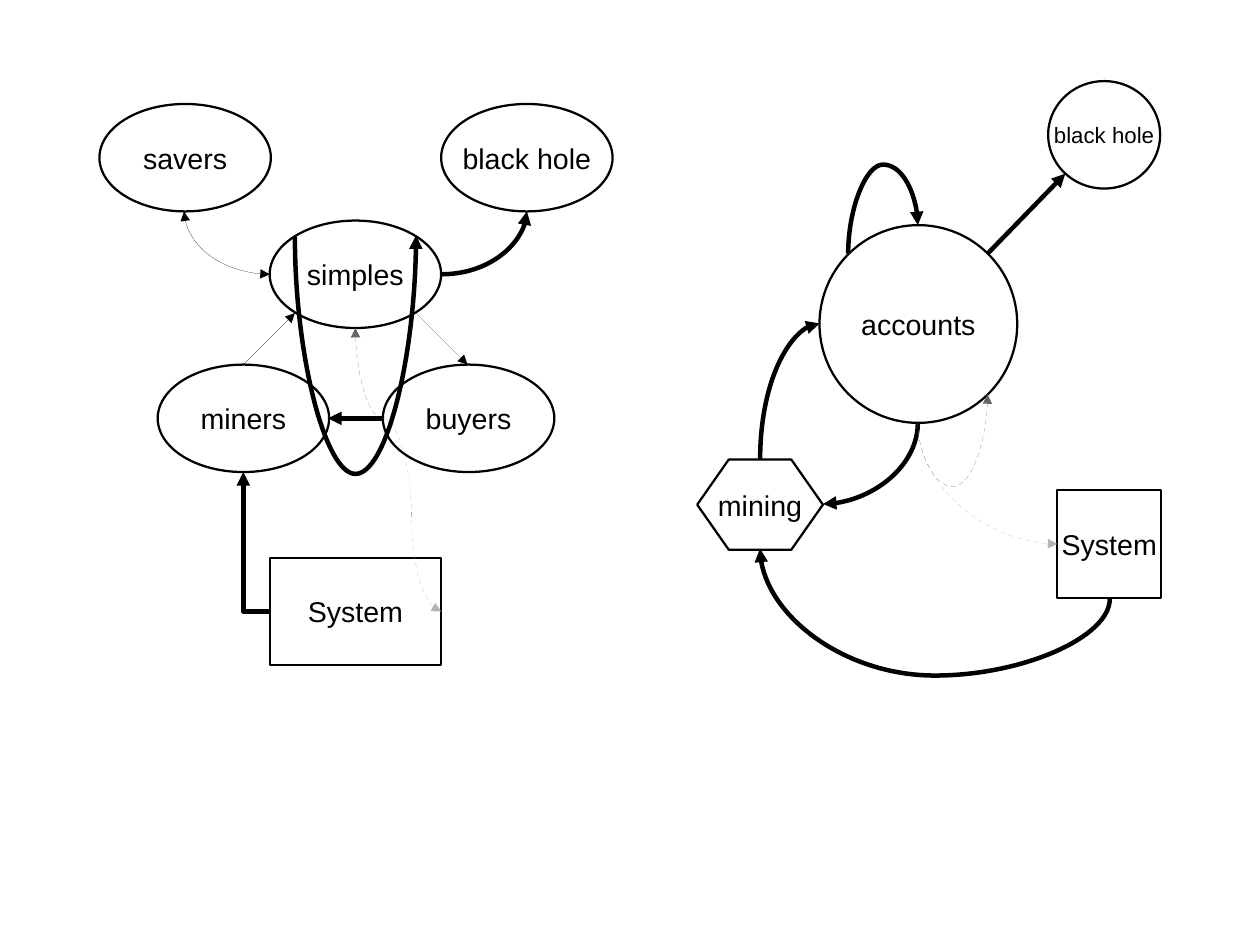
from lxml.etree import SubElement
from pptx import Presentation
from pptx.dml.color import RGBColor
from pptx.enum.dml import MSO_LINE
from pptx.enum.shapes import MSO_CONNECTOR as LINK, MSO_SHAPE as SHAPE
from pptx.enum.text import MSO_ANCHOR, PP_ALIGN
from pptx.oxml.ns import qn
from pptx.util import Inches, Pt

BLACK, DARK_GREY, LIGHT_GREY, WHITE = "000000", "666666", "B3B3B3", "FFFFFF"
THICK, HAIRLINE = 2.83, 0.01
ROLE_SIZE = (1.5, 0.94)


def color(hex_code):
    return RGBColor.from_string(hex_code)


def add_node(slide, label, position, size, kind=SHAPE.OVAL, font_size=18):
    node = slide.shapes.add_shape(kind, *map(Inches, position + size))
    node.shadow.inherit = False
    node.fill.solid()
    node.fill.fore_color.rgb = color(WHITE)
    node.line.color.rgb = color(BLACK)
    node.line.width = Pt(1.42)
    frame = node.text_frame
    frame.word_wrap = False
    frame.vertical_anchor = MSO_ANCHOR.MIDDLE
    frame.margin_left = frame.margin_right = Inches(0.11)
    frame.margin_top = frame.margin_bottom = Inches(0.06)
    frame.text = label
    paragraph = frame.paragraphs[0]
    paragraph.alignment = PP_ALIGN.CENTER
    font = paragraph.runs[0].font
    font.name = "Arial"
    font.size = Pt(font_size)
    font.color.rgb = color(BLACK)
    return node


def style_arrow(arrow, width, hex_code, both_ends):
    arrow.line.color.rgb = color(hex_code)
    arrow.line.width = Pt(width)
    if hex_code != BLACK:
        arrow.line.dash_style = MSO_LINE.DASH
    outline = arrow.line._get_or_add_ln()
    for end in ("a:headEnd", "a:tailEnd") if both_ends else ("a:tailEnd",):
        SubElement(outline, qn(end), type="triangle")
    SubElement(arrow._element.spPr, qn("a:effectLst"))


def add_arrow(slide, start, end, width=THICK, hex_code=BLACK):
    arrow = slide.shapes.add_connector(LINK.STRAIGHT, *map(Inches, start + end))
    style_arrow(arrow, width, hex_code, False)


def add_turning_arrow(slide, start, end, width=THICK, hex_code=BLACK, preset="curvedConnector2",
                      vertical=False, bend=None, both_ends=False):
    (x1, y1), (x2, y2) = start, end
    points = start + end
    if vertical:
        mid_x, mid_y = (x1 + x2) / 2, (y1 + y2) / 2
        half_w, half_h = (x2 - x1) / 2, (y2 - y1) / 2
        points = (mid_x - half_h, mid_y + half_w, mid_x + half_h, mid_y - half_w)
    arrow = slide.shapes.add_connector(LINK.CURVE, *map(Inches, points))
    properties = arrow._element.spPr
    if vertical:
        properties.find(qn("a:xfrm")).set("rot", "5400000")
    geometry = properties.find(qn("a:prstGeom"))
    geometry.set("prst", preset if bend is None else "curvedConnector3")
    if bend is not None:
        ratio = (bend - y1) / (y2 - y1) if vertical else (bend - x1) / (x2 - x1)
        guides = geometry.find(qn("a:avLst"))
        SubElement(guides, qn("a:gd"), name="adj1", fmla=f"val {round(ratio * 100000)}")
    style_arrow(arrow, width, hex_code, both_ends)


def draw_roles(slide):
    for label, position in (("savers", (0.87, 0.91)), ("black hole", (3.86, 0.91)),
                            ("simples", (2.36, 1.93)), ("miners", (1.38, 3.19)),
                            ("buyers", (3.35, 3.19))):
        add_node(slide, label, position, ROLE_SIZE)
    add_node(slide, "System", (2.36, 4.88), ROLE_SIZE, SHAPE.RECTANGLE)

    buyers_left = (3.35, 3.66)
    add_turning_arrow(slide, (2.36, 5.35), (2.13, 4.13), preset="bentConnector2")
    add_turning_arrow(slide, buyers_left, (3.11, 2.87), HAIRLINE, DARK_GREY)
    add_arrow(slide, (3.64, 2.74), (4.09, 3.19), HAIRLINE)
    add_arrow(slide, (2.13, 3.19), (2.58, 2.74), HAIRLINE)
    add_turning_arrow(slide, buyers_left, (3.86, 5.35), HAIRLINE, LIGHT_GREY, bend=3.6)
    add_arrow(slide, buyers_left, (2.87, 3.66))
    add_turning_arrow(slide, (3.86, 2.4), (4.61, 1.85))
    add_turning_arrow(slide, (2.58, 2.07), (3.64, 2.06), vertical=True, bend=4.18)
    add_turning_arrow(slide, (1.61, 1.85), (2.36, 2.4), HAIRLINE, vertical=True, both_ends=True)


def draw_accounts(slide):
    add_node(slide, "accounts", (7.17, 1.97), (1.73, 1.73))
    add_node(slide, "black hole", (9.17, 0.71), (0.98, 0.94), font_size=14)
    add_node(slide, "System", (9.25, 4.29), (0.91, 0.94), SHAPE.RECTANGLE)
    mining = add_node(slide, "mining", (6.1, 4.02), (1.1, 0.79), SHAPE.HEXAGON)
    mining.adjustments[0] = 0.35

    accounts_bottom = (8.03, 3.7)
    add_turning_arrow(slide, (9.71, 5.24), (6.65, 4.8), vertical=True, bend=5.91)
    add_turning_arrow(slide, (6.65, 4.02), (7.17, 2.83), vertical=True)
    add_turning_arrow(slide, accounts_bottom, (7.2, 4.41), vertical=True)
    add_turning_arrow(slide, accounts_bottom, (9.25, 4.76), HAIRLINE, LIGHT_GREY, vertical=True)
    add_turning_arrow(slide, accounts_bottom, (8.64, 3.45), HAIRLINE, DARK_GREY,
                      vertical=True, bend=4.26)
    add_turning_arrow(slide, (7.42, 2.22), (8.03, 1.97), vertical=True, bend=1.44)
    add_arrow(slide, (8.64, 2.22), (9.32, 1.52))


def main():
    deck = Presentation()
    deck.slide_width = Inches(28 / 2.54)
    deck.slide_height = Inches(21 / 2.54)
    slide = deck.slides.add_slide(deck.slide_layouts[6])
    draw_roles(slide)
    draw_accounts(slide)
    deck.save("out.pptx")


if __name__ == "__main__":
    main()
